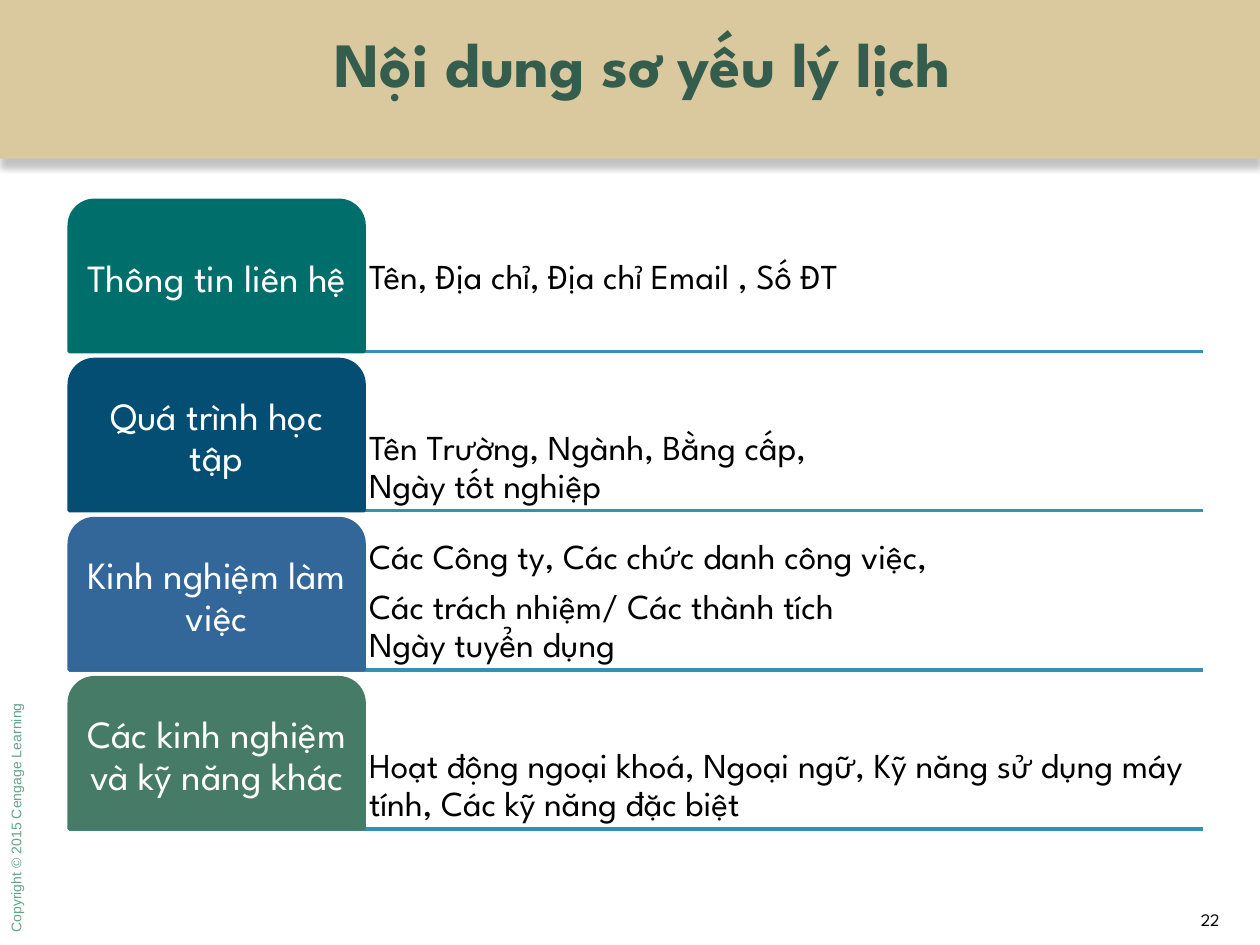
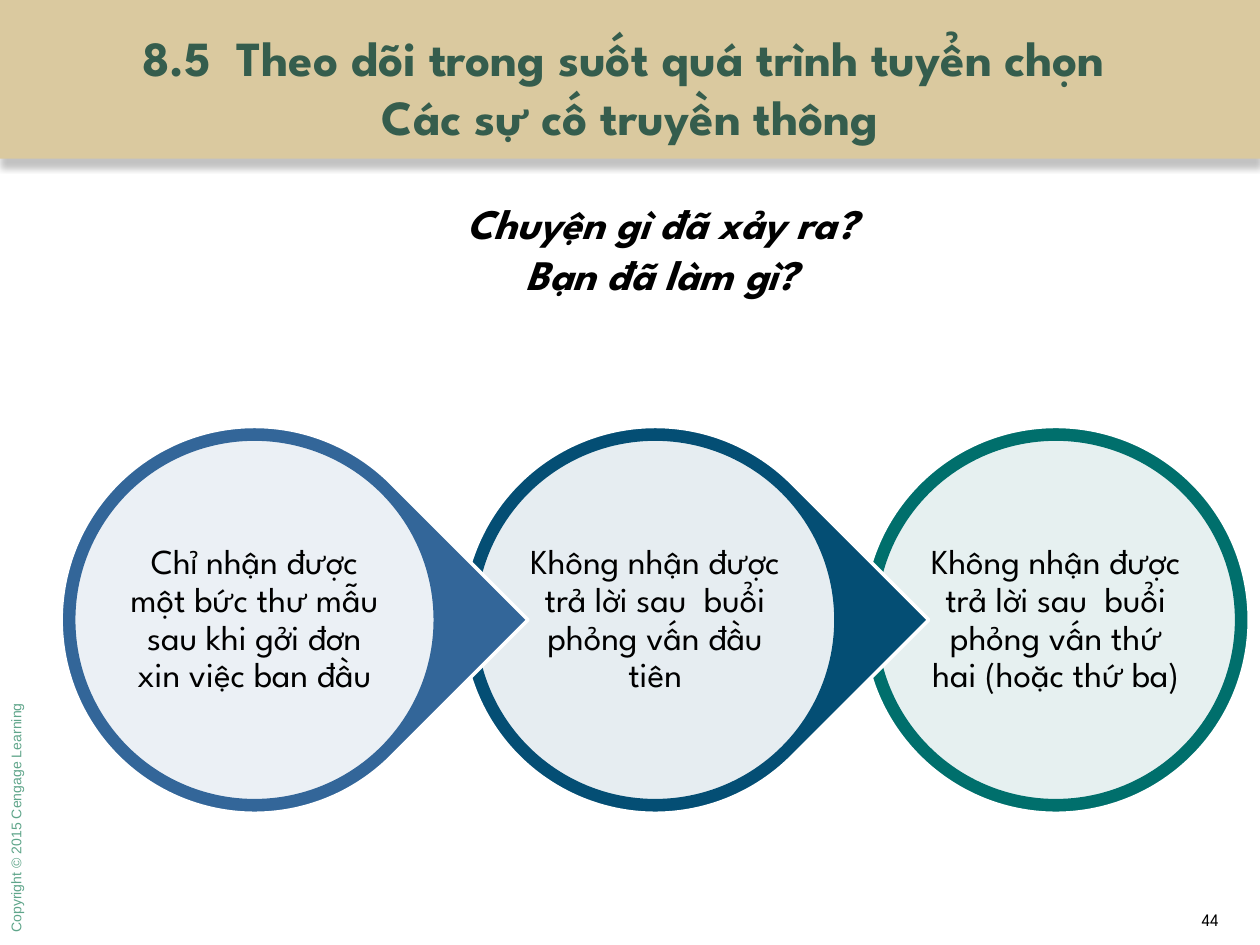
import pptx
import pptx.util
import pptx.dml.color
import pptx.enum.shapes
import pptx.enum.text
import pptx.oxml.ns
from lxml import etree

COLS, ROWS = 100, 75
FACE = "League Spartan"
BLACK, WHITE = "000000", "FFFFFF"
SAND, PINE, MINT, RULE = "DAC99F", "355D4D", "5FA58A", "3391B1"
TEAL, NAVY, BLUE, MOSS = "006F6C", "044E74", "336699", "467C67"

KIND = pptx.enum.shapes.MSO_SHAPE
ALIGN = pptx.enum.text.PP_ALIGN
ANCHOR = pptx.enum.text.MSO_ANCHOR
Pt = pptx.util.Pt

BAND = (0, 0, 100, 12.6)
TIGHT = dict(line_spacing=0.9, space_after=Pt(7))


def color(code):
    return pptx.dml.color.RGBColor.from_string(code)


def assign(item, values):
    for name, value in values.items():
        setattr(item, name, value)


def child(node, tag, **values):
    """Append an element from the drawing namespace."""
    return etree.SubElement(node, pptx.oxml.ns.qn("a:" + tag), values)


class Deck:
    """Holds the style and the current slide; lengths are grid columns and rows."""

    def __init__(self):
        self.prs = pptx.Presentation()
        self.prs.slide_width = pptx.util.Inches(10)
        self.prs.slide_height = pptx.util.Inches(7.5)
        self.layout = self.prs.slide_layouts[5]
        self.slide = None

    def grid(self, *box):
        """Turn alternating columns and rows into slide lengths."""
        units = (self.prs.slide_width / COLS, self.prs.slide_height / ROWS)
        return [round(n * units[i % 2]) for i, n in enumerate(box)]

    def page(self, title, number, box, size):
        self.slide = self.prs.slides.add_slide(self.layout)
        if len(self.prs.slides) == 1:
            self.frame()
        head = self.slide.shapes.title
        assign(head, dict(zip(("left", "top", "width", "height"), self.grid(*box))))
        self.label(head, [title], size, PINE, bold=True)
        self.text((92.2, 71, 7.7, 4), [number], 10)

    def frame(self):
        """Put the band and the copyright line on the layout."""
        band = self.shape(KIND.RECTANGLE, BAND, SAND)
        cast = child(band.element.spPr.find(pptx.oxml.ns.qn("a:effectLst")), "outerShdw",
                     blurRad=str(Pt(3.6)), dist=str(Pt(4.8)), dir="5400000",
                     algn="t", rotWithShape="0")
        child(child(cast, "srgbClr", val=BLACK), "alpha", val="24000")
        note = self.text((-8.9, 63.7, 20.3, 2.3), ["Copyright © 2015 Cengage Learning"],
                         8, MINT, align=ALIGN.LEFT, face="Arial", wrap=False)
        note.rotation = 270
        for item in (note, band):
            self.layout.shapes.element.insert(2, item.element)

    def label(self, item, lines, size, ink=BLACK, align=ALIGN.CENTER, anchor=ANCHOR.MIDDLE,
              face=FACE, wrap=True, para=None, pad=None, **font):
        """Fill a shape with one paragraph per line."""
        frame = item.text_frame
        assign(frame, dict(word_wrap=wrap, vertical_anchor=anchor,
                           auto_size=pptx.enum.text.MSO_AUTO_SIZE.NONE))
        if pad is not None:
            for side in ("left", "top", "right", "bottom"):
                setattr(frame, "margin_" + side, pptx.util.Inches(pad))
        for i, line in enumerate(lines):
            part = frame.add_paragraph() if i else frame.paragraphs[0]
            part.text = line
            assign(part, dict(alignment=align, **(para or {})))
            for run in part.runs:
                assign(run.font, dict(name=face, size=Pt(size), **font))
                run.font.color.rgb = color(ink)

    def text(self, box, lines, size, ink=BLACK, **look):
        item = self.slide.shapes.add_textbox(*self.grid(*box))
        self.label(item, lines, size, ink, **look)
        return item

    def shape(self, kind, box, fill, edge=None, clear=None):
        """Add a preset shape; clear is the opacity of the fill in percent."""
        item = self.slide.shapes.add_shape(kind, *self.grid(*box))
        item.shadow.inherit = False
        item.fill.solid()
        item.fill.fore_color.rgb = color(fill)
        if clear:
            tint = item.element.spPr.find(".//" + pptx.oxml.ns.qn("a:srgbClr"))
            child(tint, "alpha", val=str(clear * 1000))
        if edge:
            item.line.color.rgb = color(edge)
            item.line.width = Pt(2)
        else:
            item.line.fill.background()
        return item

    def line(self, left, right, row):
        item = self.slide.shapes.add_connector(
            pptx.enum.shapes.MSO_CONNECTOR.STRAIGHT, *self.grid(left, row, right, row))
        item.line.color.rgb = color(RULE)
        item.line.width = Pt(2)
        child(item.element.spPr, "effectLst")


def resume(deck):
    deck.page("Nội dung sơ yếu lý lịch", "22", (1, -1.9, 100, 13.7), 36)
    left, split, right, top, pitch, high = 5.5, 28.9, 95.5, 15.9, 12.63, 12
    parts = [
        ("Thông tin liên hệ", TEAL, ["Tên, Địa chỉ, Địa chỉ Email , Số ĐT"], 3.9),
        ("Quá trình học tập", NAVY, ["Tên Trường, Ngành, Bằng cấp, \vNgày tốt nghiệp"], 0),
        ("Kinh nghiệm làm việc", BLUE,
         ["Các Công ty, Các chức danh công việc,",
          "Các trách nhiệm/ Các thành tích\vNgày tuyển dụng"], 0),
        ("Các kinh nghiệm và kỹ năng khác", MOSS,
         ["Hoạt động ngoại khoá, Ngoại ngữ, Kỹ năng sử dụng máy tính, "
          "Các kỹ năng đặc biệt"], 0),
    ]
    for i, (name, fill, lines, lift) in enumerate(parts):
        row = top + i * pitch
        deck.line(left, right, row + high)
        deck.text((split, row, right - split, high - lift), lines, 20, align=ALIGN.LEFT,
                  anchor=ANCHOR.BOTTOM, pad=0.04, para=TIGHT)
        tab = deck.shape(KIND.ROUND_2_SAME_RECTANGLE, (left, row, split - left, high),
                         fill, fill)
        deck.label(tab, [name], 22, WHITE, pad=0.05, para=TIGHT)


def follow(deck):
    deck.page("8.5  Theo dõi trong suốt quá trình tuyển chọn \vCác sự cố truyền thông",
              "44", (0, 0, 100, 13.7), 28)
    deck.text((14, 15.2, 77, 9.1), ["Chuyện gì đã xảy ra?", "Bạn đã làm gì?"], 24,
              anchor=ANCHOR.TOP, bold=True, italic=True)
    first, pitch, mid, outer, inner = 20.2, 31.8, 49.2, 30.7, 28.7
    steps = [
        ("Chỉ nhận được một bức thư mẫu sau khi gởi đơn xin việc ban đầu", BLUE),
        ("Không nhận được trả lời sau  buổi phỏng vấn đầu tiên", NAVY),
        ("Không nhận được trả lời sau  buổi phỏng vấn thứ hai (hoặc thứ ba)", TEAL),
    ]

    def around(x, size):
        return x - size / 2, mid - size / 2, size, size

    for i, (words, fill) in reversed(list(enumerate(steps))):
        x = first + i * pitch
        last = i == len(steps) - 1
        drop = deck.shape(KIND.OVAL if last else KIND.TEAR, around(x, outer), fill, WHITE)
        drop.rotation = 0 if last else 45
        disc = deck.shape(KIND.OVAL, around(x, inner), WHITE, fill, clear=90)
        deck.label(disc, [words], 20, pad=0.02, para=TIGHT)


def main():
    deck = Deck()
    resume(deck)
    follow(deck)
    deck.prs.save("out.pptx")


if __name__ == "__main__":
    main()
